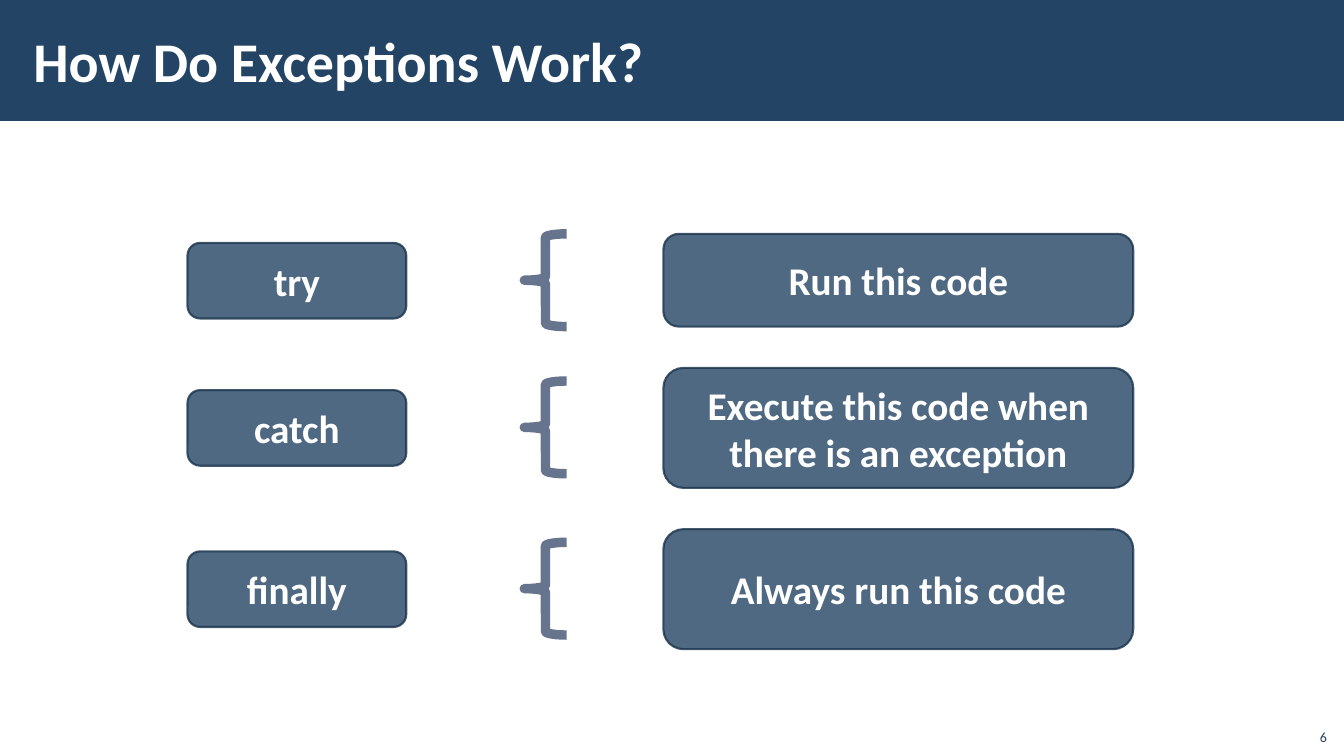
from pptx import Presentation
from pptx.dml.color import RGBColor
from pptx.enum.shapes import MSO_SHAPE
from pptx.enum.text import MSO_ANCHOR, MSO_AUTO_SIZE, PP_ALIGN
from pptx.oxml.ns import qn
from pptx.util import Pt

SCALE = 9144
FONT = "Calibri"
NAVY = RGBColor(0x23, 0x44, 0x65)
DARK_NAVY = RGBColor(0x1A, 0x33, 0x4C)
SLATE = RGBColor(0x67, 0x74, 0x8E)
WHITE = RGBColor(0xFF, 0xFF, 0xFF)

RECTANGLE = MSO_SHAPE.RECTANGLE
ROUNDED = MSO_SHAPE.ROUNDED_RECTANGLE
BRACE = MSO_SHAPE.LEFT_BRACE
MIDDLE = MSO_ANCHOR.MIDDLE
BOTTOM = MSO_ANCHOR.BOTTOM
LEFT = PP_ALIGN.LEFT
CENTER = PP_ALIGN.CENTER
RIGHT = PP_ALIGN.RIGHT

PAGE_WIDTH, PAGE_HEIGHT = 1333, 750
ROWS = [
    ("try", "Run this code", 278, 92),
    ("catch", "Execute this code when there is an exception", 424, 119),
    ("finally", "Always run this code", 584, 119),
]


def px(*lengths):
    return [length * SCALE for length in lengths]


def write(shape, text, size, color, align, anchor, bold=True):
    frame = shape.text_frame
    frame.text = text
    frame.word_wrap = True
    frame.auto_size = MSO_AUTO_SIZE.NONE
    frame.vertical_anchor = anchor
    para = frame.paragraphs[0]
    para.alignment = align
    font = para.runs[0].font
    font.name, font.size, font.bold = FONT, Pt(size), bold
    font.color.rgb = color


def add_plain_shape(page, kind, left, top, width, height):
    shape = page.shapes.add_shape(kind, *px(left, top, width, height))
    shape.shadow.inherit = False
    return shape


def add_label(page, text, left, top, width, height):
    label = add_plain_shape(page, ROUNDED, left, top, width, height)
    label.fill.solid()
    label.fill.fore_color.rgb = NAVY
    label.line.color.rgb = DARK_NAVY
    label.line.width = Pt(1.5)
    for color in label.element.spPr.iter(qn("a:srgbClr")):
        color.makeelement(qn("a:alpha"), {"val": "80000"})
        color.append(color.makeelement(qn("a:alpha"), {"val": "80000"}))
    write(label, text, 28, WHITE, CENTER, MIDDLE)


def add_header(page, left, top, width, height):
    bar = add_plain_shape(page, RECTANGLE, left, top, width, height)
    bar.fill.solid()
    bar.fill.fore_color.rgb = NAVY
    bar.line.fill.background()
    title = page.shapes.title
    title.element.addprevious(bar.element)
    title.left, title.top, title.width, title.height = px(left + 21, top + 11, 1063, 97)
    write(title, "How Do Exceptions Work?", 40, WHITE, LEFT, MIDDLE)
    frame = title.text_frame
    frame.margin_left, frame.margin_right = px(12, 12)
    frame.margin_top, frame.margin_bottom = px(4, 4)


def add_row(page, keyword, meaning, left, middle, meaning_height):
    add_label(page, keyword, left, middle - 37, 217, 75)
    brace = add_plain_shape(page, BRACE, left + 334, middle - 46, 42, 92)
    brace.fill.background()
    brace.line.color.rgb = SLATE
    brace.line.width = Pt(6.75)
    add_label(page, meaning, left + 472, middle - meaning_height // 2, 466, meaning_height)


def add_page_number(page, left, top, width, height):
    box = page.shapes.add_textbox(*px(left, top, width, height))
    write(box, "6", 10, NAVY, RIGHT, BOTTOM, bold=False)


def main():
    deck = Presentation()
    deck.slide_width, deck.slide_height = px(PAGE_WIDTH, PAGE_HEIGHT)
    page = deck.slides.add_slide(deck.slide_layouts[5])
    page.background.fill.solid()
    page.background.fill.fore_color.rgb = WHITE
    add_header(page, 0, 0, PAGE_WIDTH, 120)
    for keyword, meaning, middle, meaning_height in ROWS:
        add_row(page, keyword, meaning, 186, middle, meaning_height)
    add_page_number(page, 1286, 712, 40, 32)
    deck.save("out.pptx")


if __name__ == "__main__":
    main()
